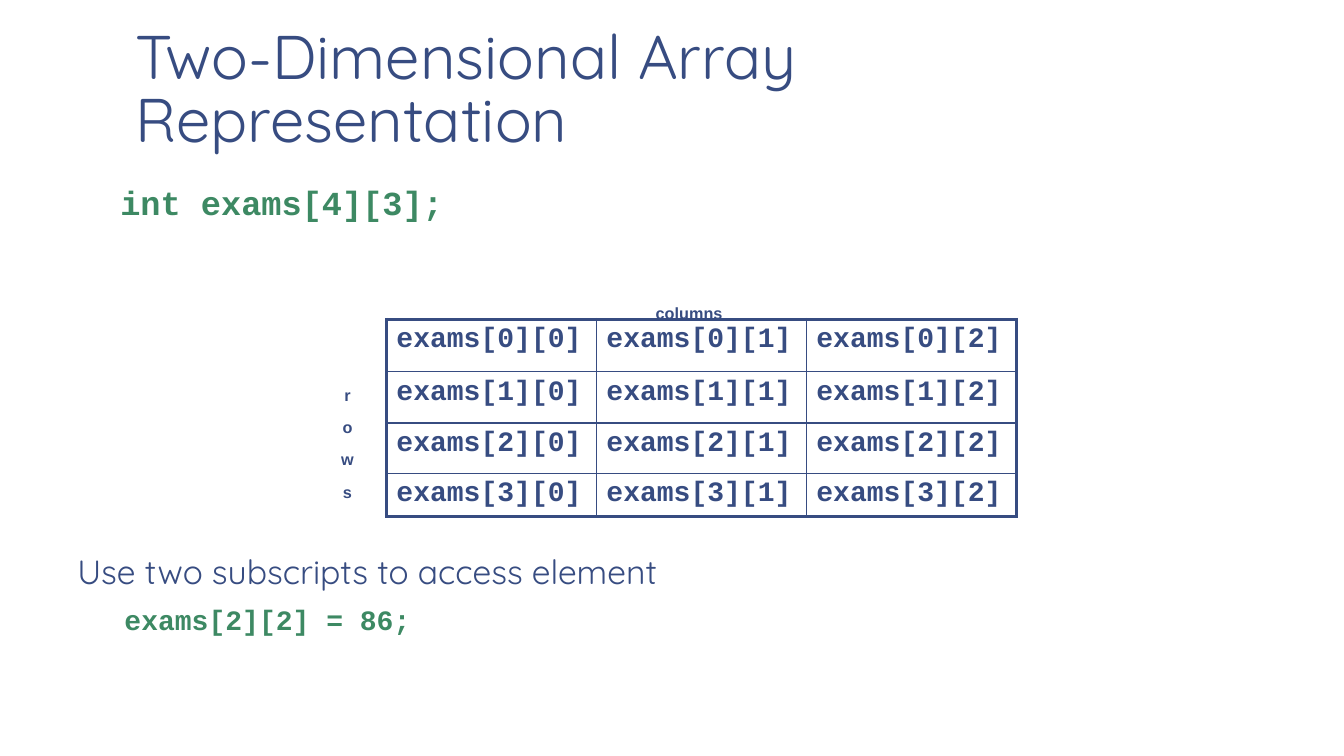
import pptx
import pptx.dml.color
import pptx.enum.text
import pptx.oxml
import pptx.oxml.ns
import pptx.util

PX = 9525
NAVY = "374C81"
GREEN = "3D8963"
ALIGN = pptx.enum.text.PP_ALIGN
ANCHOR = pptx.enum.text.MSO_ANCHOR
FIT = pptx.enum.text.MSO_AUTO_SIZE


def write(frame, text, font="Quicksand", size=24, color=NAVY, bold=False,
          align=ALIGN.LEFT, line=1.0, before=0, level=0, margin=0, hang=0, base=0):
    para = frame.paragraphs[0]
    if para.runs:
        para = frame.add_paragraph()
    para.alignment = align
    para.line_spacing = line
    para.space_before = pptx.util.Pt(before)
    para.level = level
    props = para._p.get_or_add_pPr()
    props.set("marL", str(margin * PX))
    props.set("indent", str(-hang * PX))
    props.append(pptx.oxml.parse_xml(
        f'<a:buNone {pptx.oxml.ns.nsdecls("a")}/>'))
    run = para.add_run()
    run.text = text
    run.font.name = font
    run.font.size = pptx.util.Pt(size)
    run.font.bold = bold
    run.font.color.rgb = pptx.dml.color.RGBColor.from_string(color)
    if base:
        run._r.get_or_add_rPr().set("baseline", str(base * 1000))


def place(shape, left, top, width, height):
    shape.left, shape.top = left * PX, top * PX
    shape.width, shape.height = width * PX, height * PX


deck = pptx.Presentation()
deck.slide_width = 1280 * PX
deck.slide_height = 720 * PX
slide = deck.slides.add_slide(deck.slide_layouts[1])

title = slide.shapes.title
place(title, 117, 8, 1067, 147)
frame = title.text_frame
frame.auto_size = FIT.NONE
frame.vertical_anchor = ANCHOR.BOTTOM
frame.margin_left = frame.margin_right = 12 * PX
frame.margin_top = frame.margin_bottom = 7 * PX
write(frame, "Two-Dimensional Array Representation", size=44, line=0.85)

body = slide.placeholders[1]
place(body, 64, 168, 1152, 475)
frame = body.text_frame
frame.auto_size = FIT.NONE
frame.vertical_anchor = ANCHOR.TOP
frame.margin_top = 10 * PX
write(frame, "int exams[4][3];", font="Courier New", color=GREEN, bold=True,
      line=0.9, margin=41)
write(frame, "Use two subscripts to access element", line=0.9, before=237,
      margin=32, hang=32)
write(frame, "exams[2][2] = 86;", font="Courier New", size=20, color=GREEN,
      bold=True, line=0.9, before=10.7, level=1, margin=77, hang=32)

rows = [50, 49, 48, 41]
cols = [200] * 3
grid = slide.shapes.add_table(
    len(rows), len(cols), 368 * PX, 304 * PX, sum(cols) * PX, sum(rows) * PX).table
grid.first_row = grid.horz_banding = False
for c, width in enumerate(cols):
    grid.columns[c].width = width * PX
for r, height in enumerate(rows):
    grid.rows[r].height = height * PX
    for c in range(len(cols)):
        cell = grid.cell(r, c)
        write(cell.text_frame, f"exams[{r}][{c}]", font="Courier New", size=20, bold=True)
        outer = {"L": c == 0, "R": c == len(cols) - 1,
                 "T": r == 0, "B": r == len(rows) - 1}
        props = cell._tc.get_or_add_tcPr()
        for side, edge in outer.items():
            weight = pptx.util.Pt(2.25 if edge else 1)
            props.append(pptx.oxml.parse_xml(
                f'<a:ln{side} {pptx.oxml.ns.nsdecls("a")} w="{weight}">'
                f'<a:solidFill><a:srgbClr val="{NAVY}"/></a:solidFill></a:ln{side}>'))
        cell.fill.background()

labels = [
    (["columns"], (615, 264, 129, 41), ALIGN.LEFT, 1.0),
    ("rows", (311, 344, 40, 112), ALIGN.CENTER, 0.8),
]
for lines, spot, align, line in labels:
    box = slide.shapes.add_textbox(*[n * PX for n in spot])
    frame = box.text_frame
    frame.word_wrap = False
    frame.auto_size = FIT.SHAPE_TO_FIT_TEXT
    for text in lines:
        write(frame, text, font="Arial", size=20, bold=True, align=align,
              line=line, base=-33)

deck.save("out.pptx")
